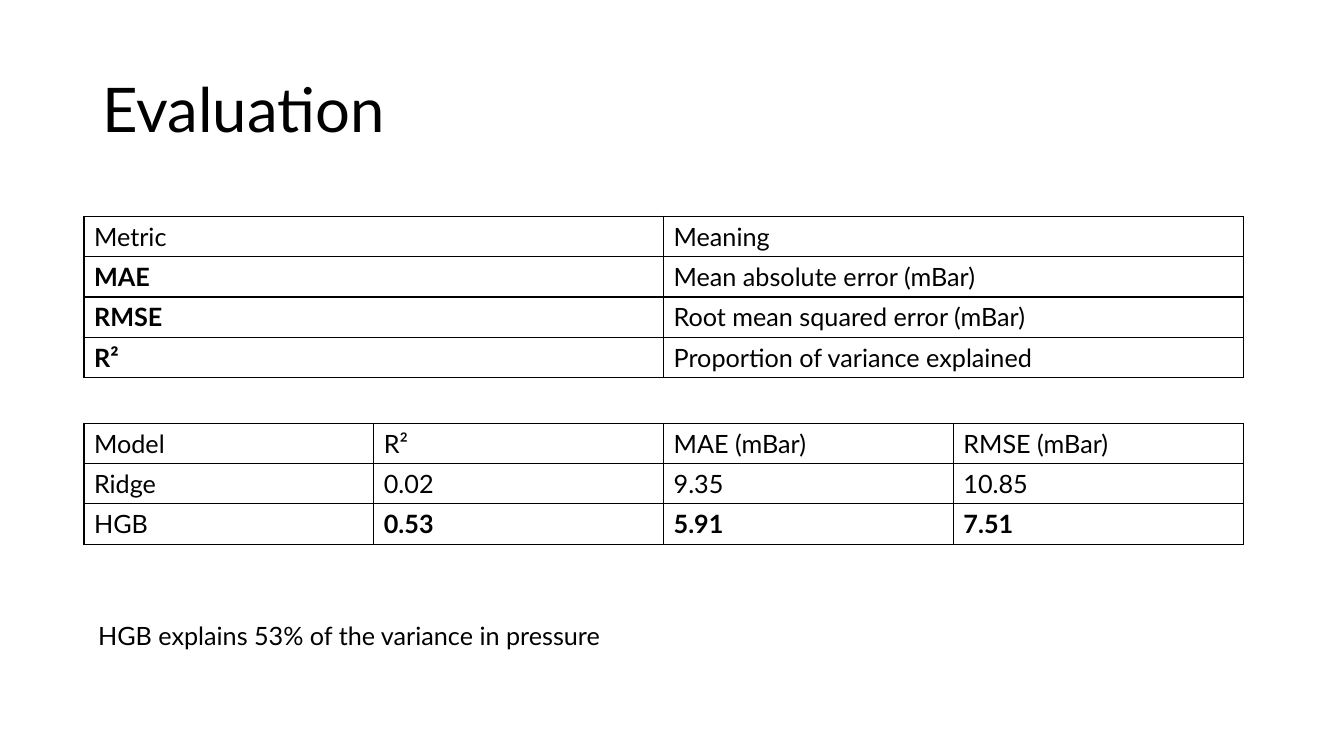
from lxml import etree
from pptx import Presentation
from pptx.dml.color import RGBColor
from pptx.enum.text import MSO_ANCHOR
from pptx.oxml.ns import qn
from pptx.util import Pt

PX = 9525  # EMU per px, 96 px to the inch
BLACK = RGBColor(0x00, 0x00, 0x00)
FONT = "Lato"
TABLE_LEFT, TABLE_WIDTH, ROW_HEIGHT = 80, 1104, 38


def write(text_frame, text, size=18, bold=False, line_spacing=None):
    paragraph = text_frame.paragraphs[0]
    paragraph.line_spacing = line_spacing
    run = paragraph.add_run()
    run.text = text
    run.font.name = FONT
    run.font.size = Pt(size)
    run.font.bold = bold
    run.font.color.rgb = BLACK


def add_borders(cell):
    """Draw a 1 pt black line on all four sides of the cell."""
    properties = cell._tc.get_or_add_tcPr()
    for position, side in enumerate(("lnL", "lnR", "lnT", "lnB")):
        line = etree.Element(qn(f"a:{side}"), w=str(Pt(1)))
        fill = etree.SubElement(line, qn("a:solidFill"))
        etree.SubElement(fill, qn("a:srgbClr"), val=str(BLACK))
        properties.insert(position, line)


presentation = Presentation()
presentation.slide_width = 1280 * PX
presentation.slide_height = 720 * PX
slide = presentation.slides.add_slide(presentation.slide_layouts[6])

# Title and conclusion
texts = [
    ("Evaluation", (88, 38, 1104, 139), MSO_ANCHOR.MIDDLE, {"size": 44, "line_spacing": 0.9}),
    ("HGB explains 53% of the variance in pressure", (84, 586, 670, 38), MSO_ANCHOR.TOP, {}),
]
for text, box, anchor, text_format in texts:
    text_frame = slide.shapes.add_textbox(*(length * PX for length in box)).text_frame
    text_frame.word_wrap = True
    text_frame.vertical_anchor = anchor
    write(text_frame, text, **text_format)

# Tables: top, rows, and the cells set in bold
metrics = [
    ("Metric", "Meaning"),
    ("MAE", "Mean absolute error (mBar)"),
    ("RMSE", "Root mean squared error (mBar)"),
    ("R²", "Proportion of variance explained"),
]
results = [
    ("Model", "R²", "MAE (mBar)", "RMSE (mBar)"),
    ("Ridge", "0.02", "9.35", "10.85"),
    ("HGB", "0.53", "5.91", "7.51"),
]
tables = [
    (206, metrics, {(1, 0), (2, 0), (3, 0)}),
    (403, results, {(2, 1), (2, 2), (2, 3)}),
]
for top, rows, bold_cells in tables:
    table = slide.shapes.add_table(
        len(rows), len(rows[0]), TABLE_LEFT * PX, top * PX,
        TABLE_WIDTH * PX, len(rows) * ROW_HEIGHT * PX,
    ).table
    table.first_row = False
    table.horz_banding = False
    for row_index, row in enumerate(rows):
        for column_index, text in enumerate(row):
            cell = table.cell(row_index, column_index)
            cell.fill.background()
            cell.vertical_anchor = MSO_ANCHOR.MIDDLE
            add_borders(cell)
            write(cell.text_frame, text, bold=(row_index, column_index) in bold_cells)

presentation.save("out.pptx")
